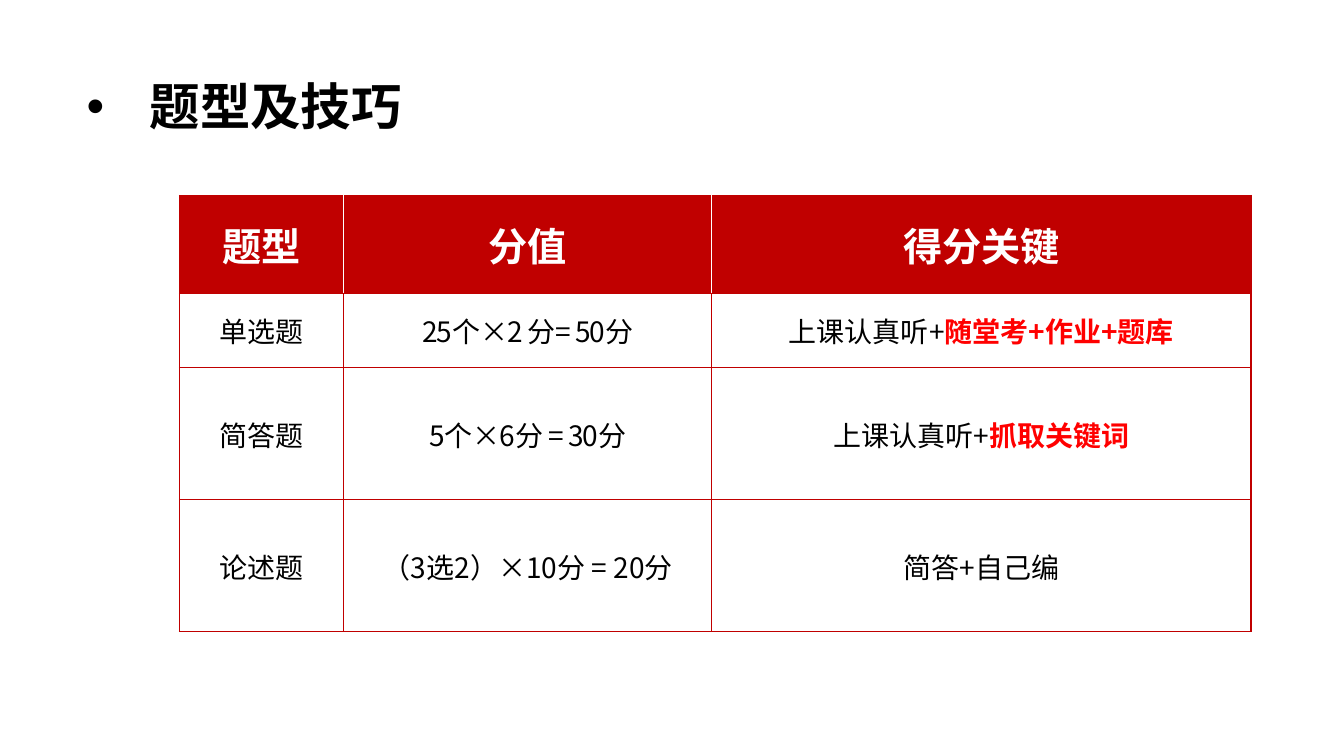
from lxml.etree import SubElement
from pptx import Presentation
from pptx.dml.color import RGBColor
from pptx.enum.text import MSO_ANCHOR, MSO_AUTO_SIZE, PP_ALIGN
from pptx.oxml.ns import qn
from pptx.util import Pt

FONT = "Noto Sans CJK SC"
COLORS = {"black": "000000", "white": "FFFFFF", "crimson": "C00000", "red": "FF0000"}


def style_font(font, size, color, bold):
    font.size = Pt(size)
    font.bold = bold
    font.color.rgb = RGBColor.from_string(COLORS[color])
    font.name = FONT
    SubElement(font._element, qn("a:ea"), typeface=FONT)


def add_border(cell, side, color):
    line = SubElement(cell._tc.get_or_add_tcPr(), qn(f"a:ln{side}"), w=str(Pt(1)))
    fill = SubElement(line, qn("a:solidFill"))
    SubElement(fill, qn("a:srgbClr"), val=COLORS[color])


deck = Presentation()
deck.slide_width, deck.slide_height = Pt(960), Pt(540)
page = deck.slides.add_slide(deck.slide_layouts[5])

title = page.shapes.title
title.left, title.top, title.width, title.height = Pt(54.72), Pt(25.92), Pt(828), Pt(104.4)
title.text_frame.text = "题型及技巧"
title.text_frame.vertical_anchor = MSO_ANCHOR.MIDDLE
title.text_frame.auto_size = MSO_AUTO_SIZE.NONE
para = title.text_frame.paragraphs[0]
para.alignment = PP_ALIGN.LEFT
para.line_spacing = 0.9
properties = para._p.get_or_add_pPr()
properties.set("marL", str(Pt(45)))
properties.set("indent", str(Pt(-45)))
SubElement(properties, qn("a:buFont"), typeface="Arial")
SubElement(properties, qn("a:buChar"), char="•")
style_font(para.font, 36, "black", True)

rows = [
    [("题型",), ("分值",), ("得分关键",)],
    [("单选题",), ("25个×2 分= 50分",), ("上课认真听+", "随堂考+作业+题库")],
    [("简答题",), ("5个×6分 = 30分",), ("上课认真听+", "抓取关键词")],
    [("论述题",), ("（3选2）×10分 = 20分",), ("简答+自己编",)],
]
column_widths = [117.4, 262.8, 385.2]
row_heights = [69.8, 53.3, 94.3, 94.3]
tight_cells = [(1, 1), (2, 1)]

frame = page.shapes.add_table(
    len(rows), len(column_widths), Pt(128.2), Pt(139.7), Pt(sum(column_widths)), Pt(sum(row_heights))
)
table = frame.table
table.horz_banding = False
for column, width in zip(table.columns, column_widths):
    column.width = Pt(width)
for row, height in zip(table.rows, row_heights):
    row.height = Pt(height)

last_column = len(column_widths) - 1
for row_index, row in enumerate(rows):
    header = row_index == 0
    for column_index, parts in enumerate(row):
        cell = table.cell(row_index, column_index)
        cell.vertical_anchor = MSO_ANCHOR.MIDDLE
        add_border(cell, "L", "white" if header and column_index > 0 else "crimson")
        add_border(cell, "R", "white" if header and column_index < last_column else "crimson")
        add_border(cell, "T", "crimson")
        add_border(cell, "B", "crimson")
        if header:
            cell.fill.solid()
            cell.fill.fore_color.rgb = RGBColor.from_string(COLORS["crimson"])
        else:
            cell.fill.background()

        para = cell.text_frame.paragraphs[0]
        para.alignment = PP_ALIGN.CENTER
        spans = []
        for part in parts:
            span = para.add_run()
            span.text = part
            spans.append(span)
        if header:
            style_font(para.font, 28, "white", True)
        elif len(spans) == 1:
            style_font(para.font, 20, "black", False)
        else:
            style_font(spans[0].font, 20, "black", False)
            style_font(spans[1].font, 20, "red", True)
        if (row_index, column_index) in tight_cells:
            para.font._element.set("spc", "-80")

deck.save("out.pptx")
